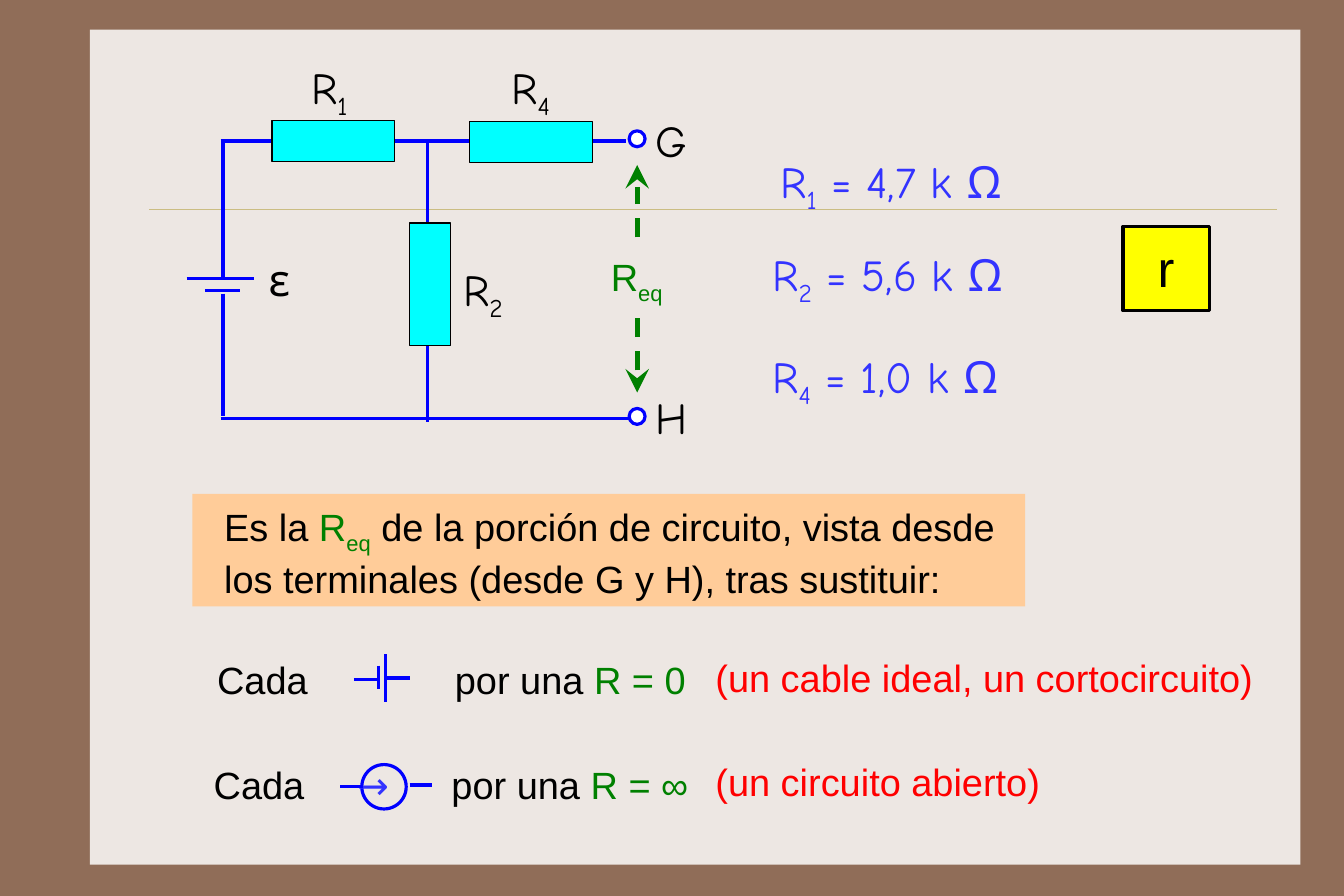
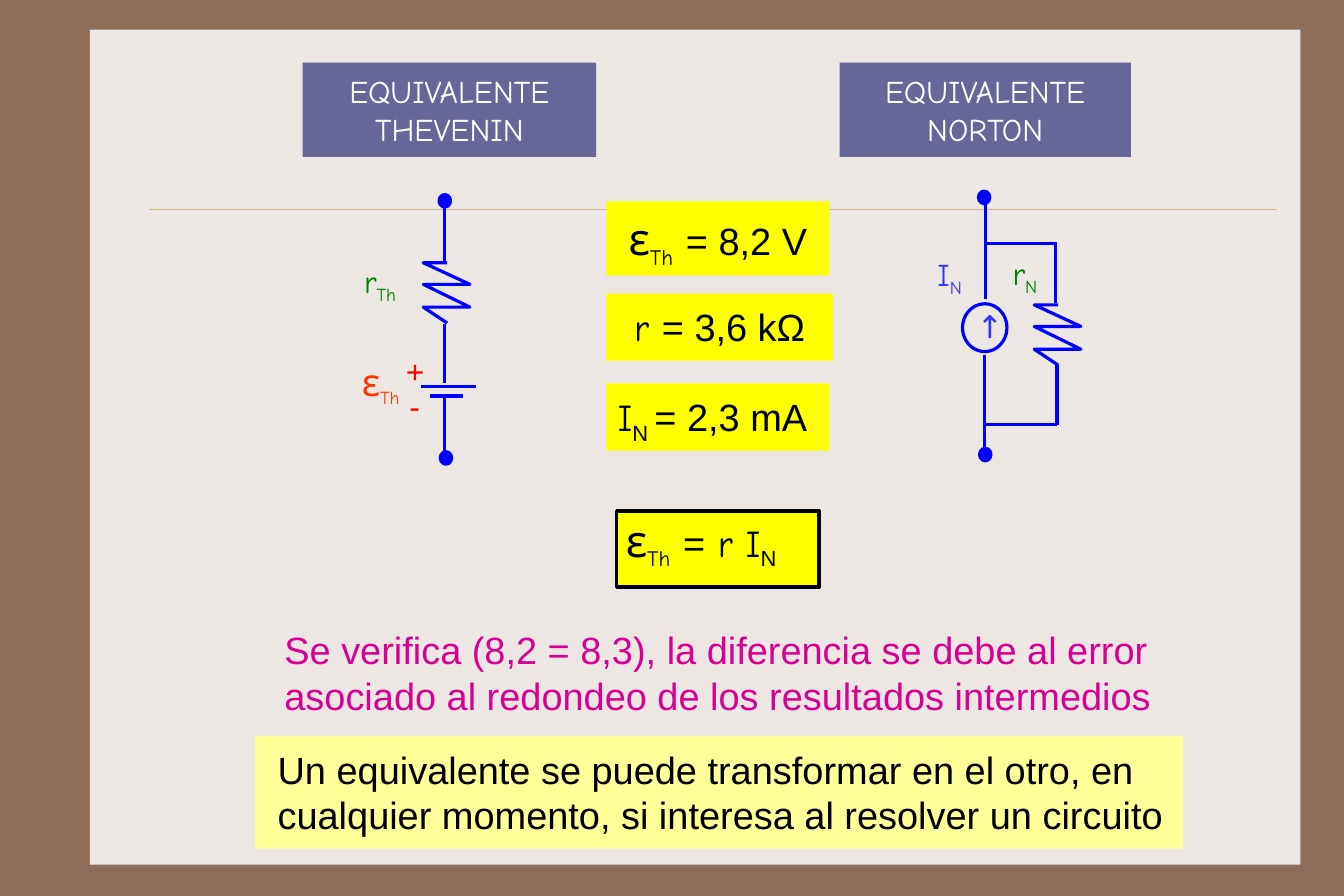
"""Builds two slides on the Thevenin and Norton equivalents, on a grid of tenth-inch cells."""
import lxml.etree
import pptx
import pptx.dml.color
import pptx.enum.dml
import pptx.enum.shapes
import pptx.enum.text
import pptx.oxml.ns
import pptx.util

CELL = pptx.util.Inches(0.1)
BROWN, PAPER, SAND = "906D58", "EDE7E3", "CBBD83"
BLUE, INDIGO, CYAN, SLATE = "0000FF", "3333FF", "00FFFF", "666699"
BLACK, WHITE, GREEN, RED = "000000", "FFFFFF", "008000", "FF0000"
YELLOW, ORANGE, CREAM, MAGENTA = "FFFF00", "FFCC99", "FFFF99", "D60093"
PLAIN, HAND = "Arial", "Comic Neue"
RECT = pptx.enum.shapes.MSO_SHAPE.RECTANGLE
OVAL = pptx.enum.shapes.MSO_SHAPE.OVAL
MIDDLE = pptx.enum.text.MSO_ANCHOR.MIDDLE
SUB = {"sub": True}
hue = pptx.dml.color.RGBColor.from_string


def add_box(page, kind, at, runs=(), fill=None, line=None, width=2, size=24, font=PLAIN,
            colour=BLACK, pad=(1, 0.9), centred=False, anchor=pptx.enum.text.MSO_ANCHOR.TOP):
    """Adds a shape, or a text box when kind is None, with its formatted runs."""
    place = [int(cells * CELL) for cells in at]
    if kind is None:
        box = page.shapes.add_textbox(*place)
    else:
        box = page.shapes.add_shape(kind, *place)
        box.shadow.inherit = False
    if fill:
        box.fill.solid()
        box.fill.fore_color.rgb = hue(fill)
    else:
        box.fill.background()
    if line:
        box.line.color.rgb = hue(line)
        box.line.width = pptx.util.Pt(width)
    else:
        box.line.fill.background()
    frame = box.text_frame
    frame.word_wrap = True
    frame.vertical_anchor = anchor
    frame.margin_left = int(pad[0] * CELL)
    frame.margin_right = frame.margin_left if centred else 0
    frame.margin_top = frame.margin_bottom = int(pad[1] * CELL)
    para = frame.paragraphs[0]
    para.alignment = pptx.enum.text.PP_ALIGN.CENTER if centred else pptx.enum.text.PP_ALIGN.LEFT
    for run in runs:
        words, change = (run, {}) if isinstance(run, str) else run
        span = para.add_run()
        span.text = words
        span.font.name = change.get("font", font)
        span.font.size = pptx.util.Pt(change.get("size", size))
        span.font.color.rgb = hue(change.get("colour", colour))
        if change.get("sub"):
            span._r.get_or_add_rPr().set("baseline", "-25000")
    return box


def add_wire(page, ends, colour=BLUE, width=2):
    """Adds a straight line between two grid points."""
    straight = pptx.enum.shapes.MSO_CONNECTOR.STRAIGHT
    wire = page.shapes.add_connector(straight, *[int(cells * CELL) for cells in ends])
    wire.line.color.rgb = hue(colour)
    wire.line.width = pptx.util.Pt(width)
    lxml.etree.SubElement(wire.element.spPr, pptx.oxml.ns.qn("a:effectLst"))
    return wire


deck = pptx.Presentation()
deck.slide_width = pptx.util.Pt(850.5)
deck.slide_height = pptx.util.Pt(567)
layout = deck.slide_layouts[6]
layout.background.fill.solid()
layout.background.fill.fore_color.rgb = hue(BROWN)
for holder in list(layout.placeholders):
    holder.element.getparent().remove(holder.element)
circuit = deck.slides.add_slide(layout)
equivalents = deck.slides.add_slide(layout)

panel = add_box(circuit, RECT, (7.9, 2.6, 106.4, 73.4), fill=PAPER)
rule = add_wire(circuit, (13.1, 18.4, 112.2, 18.4), SAND, 0.25)
for part in (panel, rule):
    layout.shapes.element.append(part.element)

add_box(circuit, RECT, (16.9, 43.4, 73.2, 9.9), [
    "Es la ", ("R", {"colour": GREEN}), ("eq", {"colour": GREEN, "sub": True}),
    " de la porción de circuito, vista desde los terminales (desde G y H), tras sustituir:",
], fill=ORANGE, pad=(2.8, 0.9))

replacements = (
    (18.1, 39, 56.8, "R = 0", 56.6, "(un cable ideal, un cortocircuito)"),
    (17.8, 38.7, 66, "R = ∞", 65.8, "(un circuito abierto)"),
)
for left, middle, top, value, note_top, note in replacements:
    add_box(circuit, None, (left, top, 12, 5.9), ["Cada"])
    add_box(circuit, None, (middle, top, 24, 5.9), ["por una ", (value, {"colour": GREEN})])
    add_box(circuit, None, (61.9, note_top, 51, 5.9), [note], colour=RED)
add_box(circuit, OVAL, (31.8, 67.2, 3.9, 3.9), line=BLUE)
add_box(circuit, None, (30.4, 66, 6, 5.9), ["→"], font=HAND, colour=INDIGO)

circuit_wires = (
    (33.3, 58.5, 33.3, 60.6), (33.9, 57.5, 33.9, 61.7),
    (34, 59.6, 36, 59.6), (31.1, 59.7, 33.1, 59.7),
    (29.9, 69.1, 31.9, 69.1), (36, 69, 38, 69),
    (19.4, 36.8, 55.9, 36.8), (19.4, 12.4, 55, 12.4), (37.6, 12.3, 37.6, 37.1),
    (19.6, 12.3, 19.6, 24.5), (19.6, 25.8, 19.6, 36.6),
    (16.4, 24.5, 22.3, 24.5), (18, 25.5, 21.1, 25.5),
)
for ends in circuit_wires:
    add_wire(circuit, ends)

resistors = (
    ("1", (23.9, 10.6, 10.8, 3.6), (23.8, 4.8)),
    ("4", (41.3, 10.7, 10.8, 3.6), (41.5, 4.8)),
    ("2", (36, 19.6, 3.6, 10.8), (37.3, 22.6)),
)
for number, at, corner in resistors:
    add_box(circuit, RECT, at, fill=CYAN, line=BLACK, width=0.75)
    add_box(circuit, None, (*corner, 10.3, 6.4), ["R", (number, SUB)],
            size=28, font=HAND, pad=(0.9, 0.5), centred=True)
add_box(circuit, None, (19.4, 21.7, 10.3, 6.4), ["ε"],
        size=28, font=HAND, pad=(0.9, 0.5), centred=True)

for name, top, label_top in (("G", 11.5, 9.5), ("H", 35.9, 33.8)):
    add_box(circuit, OVAL, (55.3, top, 1.4, 1.4), fill=WHITE, line=BLUE)
    add_box(circuit, None, (56.7, label_top, 5.7, 5.3), [name],
            size=28, font=HAND, pad=(0.9, 0.5))

for number, value, left, top in (("1", "4,7", 65, 13.1), ("2", "5,6", 64.7, 21.2),
                                 ("4", "1,0", 64.5, 30.2)):
    add_box(circuit, None, (left, top, 26.6, 6.4), ["R", (number, SUB), f" = {value} k Ω"],
            size=28, font=HAND, colour=INDIGO, pad=(0.9, 0.5), centred=True)

add_box(circuit, RECT, (98.7, 19.9, 7.6, 7.4), ["r"],
        fill=YELLOW, line=BLACK, size=32, centred=True)

span_arrow = add_wire(circuit, (56, 34.5, 56, 14.5), GREEN, 3)
span_arrow.line.dash_style = pptx.enum.dml.MSO_LINE.DASH
outline = span_arrow.element.spPr.find(pptx.oxml.ns.qn("a:ln"))
for tip in ("a:headEnd", "a:tailEnd"):
    lxml.etree.SubElement(outline, pptx.oxml.ns.qn(tip), type="stealth", w="lg", len="lg")
add_box(circuit, RECT, (52.7, 21.4, 6.9, 5.9), ["R", ("eq", SUB)], fill=PAPER, colour=GREEN)

for name, left, width in (("THEVENIN", 26.6, 25.8), ("NORTON", 73.8, 25.6)):
    add_box(equivalents, RECT, (left, 5.5, width, 8.3), [f"EQUIVALENTE {name}"], fill=SLATE,
            size=20, font=HAND, colour=WHITE, pad=(0.8, 0.8), centred=True, anchor=MIDDLE)

equivalent_wires = (
    (37, 34, 41.8, 34), (37.8, 34.8, 40.7, 34.8), (39.1, 28.5, 39.1, 33.7),
    (39.1, 34.6, 39.1, 39.9), (39.1, 17.6, 39.1, 22.9),
    (92.9, 32.1, 92.9, 37.4), (86.5, 37.3, 92.9, 37.3), (92.8, 21.3, 92.8, 26.6),
    (86.6, 17.4, 86.6, 26.3), (86.5, 31.2, 86.5, 40), (86.5, 21.4, 92.9, 21.4),
)
for ends in equivalent_wires:
    add_wire(equivalents, ends)

zigzag = ((2.1, 5.3), (0, 3.9), (4.1, 3.9), (0, 1.9), (4.1, 1.9), (0, 0), (2.1, 0))
for left, top in ((37.2, 23.1), (90.9, 26.8)):
    points = [(int((left + x) * CELL), int((top + y) * CELL)) for x, y in zigzag]
    builder = equivalents.shapes.build_freeform(*points[0])
    builder.add_line_segments(points[1:], close=False)
    resistor = builder.convert_to_shape()
    resistor.shadow.inherit = False
    resistor.fill.background()
    resistor.line.color.rgb = hue(BLUE)
    resistor.line.width = pptx.util.Pt(2)

for left, top in ((38.6, 17.1), (38.7, 39.7), (86, 16.8), (86.1, 39.4)):
    add_box(equivalents, OVAL, (left, top, 1, 1.1), fill=BLUE, line=BLUE)
add_box(equivalents, OVAL, (84.6, 26.7, 3.9, 4.2), line=BLUE)
current_arrow = add_box(equivalents, None, (84.7, 26.8, 3.9, 3.9), ["→"],
                        size=20, font=HAND, colour=INDIGO, pad=(0.8, 0.4))
current_arrow.rotation = 270

symbols = (
    ("ε", "Th", 24, "FF3300", 31, 31.1), ("r", "Th", 20, GREEN, 31.2, 22.6),
    ("r", "N", 20, GREEN, 88.2, 21.9), ("I", "N", 20, INDIGO, 81.6, 22),
)
for letter, index, size, colour, left, top in symbols:
    add_box(equivalents, None, (left, top, 6, 4.2),
            [(letter, {"size": size}), (index, SUB)],
            size=20, font=HAND, colour=colour, pad=(0.8, 0.4))
for sign, left, top in (("+", 34.7, 30.4), ("-", 35, 33.5)):
    add_box(equivalents, None, (left, top, 3.6, 4.4), [sign],
            size=20, colour=RED, pad=(1, 0.5))

epsilon = [("ε", {"size": 28, "font": HAND}), ("Th", {"font": HAND, "sub": True}),
           (" ", {"font": HAND})]
add_box(equivalents, RECT, (53.3, 17.7, 19.6, 6.5), [*epsilon, "= 8,2 V"],
        fill=YELLOW, centred=True)
add_box(equivalents, RECT, (53.3, 25.8, 19.9, 5.9), [("r ", {"font": HAND}), "= 3,6 kΩ"],
        fill=YELLOW, centred=True)
add_box(equivalents, RECT, (53.3, 33.7, 19.6, 5.9),
        [("I", {"font": HAND}), ("N ", SUB), "= 2,3 mA"], fill=YELLOW)
law = add_box(equivalents, RECT, (54.2, 44.9, 17.8, 6.7),
              [*epsilon, "=", (" r I", {"font": HAND}), ("N", SUB)],
              fill=YELLOW, line=BLACK, width=2.25, pad=(0.8, 0.4), anchor=MIDDLE)
law.text_frame.margin_bottom = int(1.6 * CELL)

add_box(equivalents, None, (17.5, 54.2, 91, 9.9), [
    "Se verifica (8,2 = 8,3), la diferencia se debe al error "
    "asociado al redondeo de los resultados intermedios",
], colour=MAGENTA, pad=(7.5, 0.9))
add_box(equivalents, RECT, (22.4, 64.7, 81.6, 9.9), [
    "Un equivalente se puede transformar en el otro, en "
    "cualquier momento, si interesa al resolver un circuito",
], fill=CREAM, pad=(2, 0.9))

deck.save("out.pptx")
